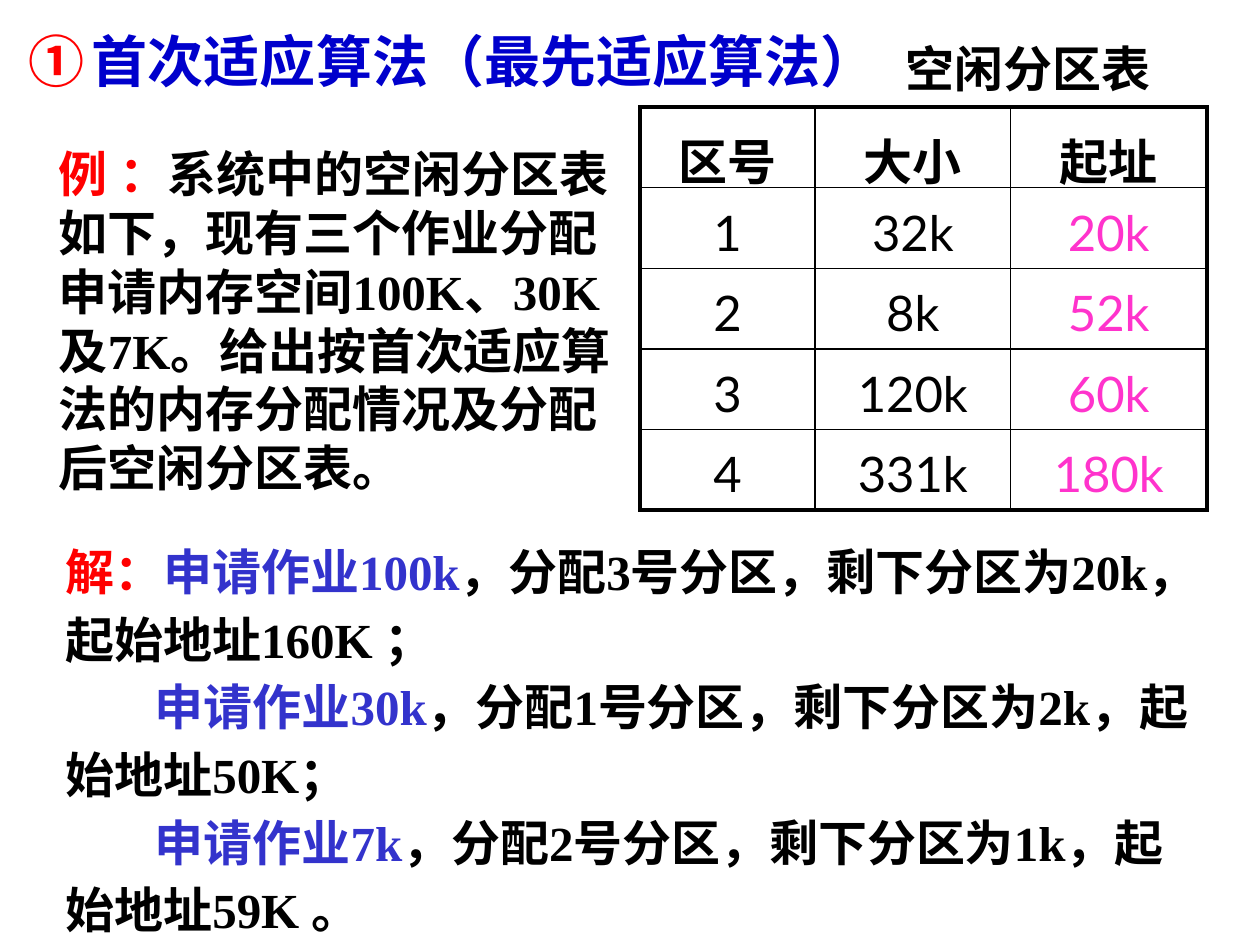
"""Build the first-fit memory allocation slide."""
from lxml import etree
from pptx import Presentation
from pptx.dml.color import RGBColor
from pptx.enum.text import MSO_ANCHOR, MSO_AUTO_SIZE, PP_ALIGN
from pptx.oxml.ns import qn
from pptx.util import Inches, Pt

LEFT, CENTER = PP_ALIGN.LEFT, PP_ALIGN.CENTER
TOP, GROW = MSO_ANCHOR.TOP, MSO_AUTO_SIZE.SHAPE_TO_FIT_TEXT

THEME = {
    "serif": "Times New Roman", "sans": "Lato",
    "head": 32, "text": 28, "loose": 1.15, "thick": 2.25, "thin": 1,
    "black": "000000", "red": "FF0000", "navy": "0000CC",
    "blue": "3333CC", "pink": "FF33CC",
}

TITLE = [[("首次适应算法（最先适应算法）", "navy")]]
LABEL = [[("空闲分区表", "black")]]
TASK = [[
    ("例 ：", "red"),
    ("系统中的空闲分区表如下，现有三个作业分配申请内存空间100K、30K及7K。"
     "给出按首次适应算法的内存分配情况及分配后空闲分区表。", "black"),
]]
ANSWER = [
    [("解：", "red"), ("申请作业100k", "blue"),
     ("，分配3号分区，剩下分区为20k，起始地址160K ；", "black")],
    [("申请作业30k", "blue"),
     ("，分配1号分区，剩下分区为2k，起始地址50K；", "black")],
    [("申请作业7k", "blue"),
     ("，分配2号分区，剩下分区为1k，起始地址59K 。", "black")],
]
ROWS = [
    ("区号", "大小", "起址"),
    ("1", "32k", "20k"),
    ("2", "8k", "52k"),
    ("3", "120k", "60k"),
    ("4", "331k", "180k"),
]
COLS = (1.39, 1.55, 1.56)
ROW_H = 0.64


def add_run(para, text, color, font="serif", size="text", bold=True):
    run = para.add_run()
    run.text = text
    run.font.name = THEME[font]
    run.font.size = Pt(THEME[size])
    run.font.bold = bold
    run.font.color.rgb = RGBColor.from_string(THEME[color])


def fill_text(shape, box, paras, align=LEFT, space=1.0, wrap=True, **style):
    shape.left, shape.top, shape.width, shape.height = map(Inches, box)
    frame = shape.text_frame
    frame.word_wrap = wrap
    frame.auto_size = GROW
    frame.vertical_anchor = TOP
    for i, runs in enumerate(paras):
        para = frame.add_paragraph() if i else frame.paragraphs[0]
        para.alignment = align
        para.line_spacing = space
        para.space_before = Pt(0)
        for text, color in runs:
            add_run(para, text, color, **style)
    return frame.paragraphs


def set_indent(para, margin, first):
    props = para._p.get_or_add_pPr()
    props.set("marL", str(Inches(margin)))
    props.set("indent", str(Inches(first)))
    return props


def add_number(para):
    props = set_indent(para, 0.5, -0.5)
    tint = etree.SubElement(props, qn("a:buClr"))
    etree.SubElement(tint, qn("a:srgbClr"), val=THEME["red"])
    etree.SubElement(props, qn("a:buAutoNum"), type="circleNumDbPlain")


def set_edges(cell, outer):
    props = cell._tc.get_or_add_tcPr()
    for i, (side, thick) in enumerate(zip("LRTB", outer)):
        width = THEME["thick" if thick else "thin"]
        line = etree.Element(qn("a:ln" + side), w=str(Pt(width)))
        paint = etree.SubElement(line, qn("a:solidFill"))
        etree.SubElement(paint, qn("a:srgbClr"), val=THEME["black"])
        props.insert(i, line)


def add_grid(slide):
    count, last = len(ROWS), len(COLS) - 1
    table = slide.shapes.add_table(
        count, len(COLS), Inches(5.08), Inches(0.85),
        Inches(sum(COLS)), Inches(ROW_H * count)).table
    table.first_row = table.horz_banding = False
    for col, width in zip(table.columns, COLS):
        col.width = Inches(width)
    for r, row in enumerate(ROWS):
        for c, text in enumerate(row):
            cell = table.cell(r, c)
            cell.fill.background()
            set_edges(cell, (c == 0, c == last, r == 0, r == count - 1))
            para = cell.text_frame.paragraphs[0]
            para.alignment = CENTER
            para.line_spacing = THEME["loose"]
            color = "pink" if r and c == last else "black"
            add_run(para, text, color, font="sans", bold=r == 0)


def main():
    deck = Presentation()
    deck.slide_width, deck.slide_height = Inches(10), Inches(7.5)
    slide = deck.slides.add_slide(deck.slide_layouts[1])
    title, body = slide.placeholders

    add_grid(slide)
    label, task = (slide.shapes.add_textbox(0, 0, 0, 0) for _ in range(2))
    fill_text(label, (6.62, 0.26, 3.08, 0.57), LABEL, CENTER, font="sans")
    fill_text(task, (0.37, 1.09, 4.73, 2.9), TASK)

    paras = fill_text(body, (0.42, 4.18, 9.25, 3.32), ANSWER,
                      space=THEME["loose"])
    for i, para in enumerate(paras):
        props = set_indent(para, 0, 0.71 if i else 0)
        etree.SubElement(props, qn("a:buNone"))

    paras = fill_text(title, (0.13, 0.16, 6.95, 0.63), TITLE,
                      wrap=False, size="head")
    add_number(paras[0])
    deck.save("out.pptx")


if __name__ == "__main__":
    main()
